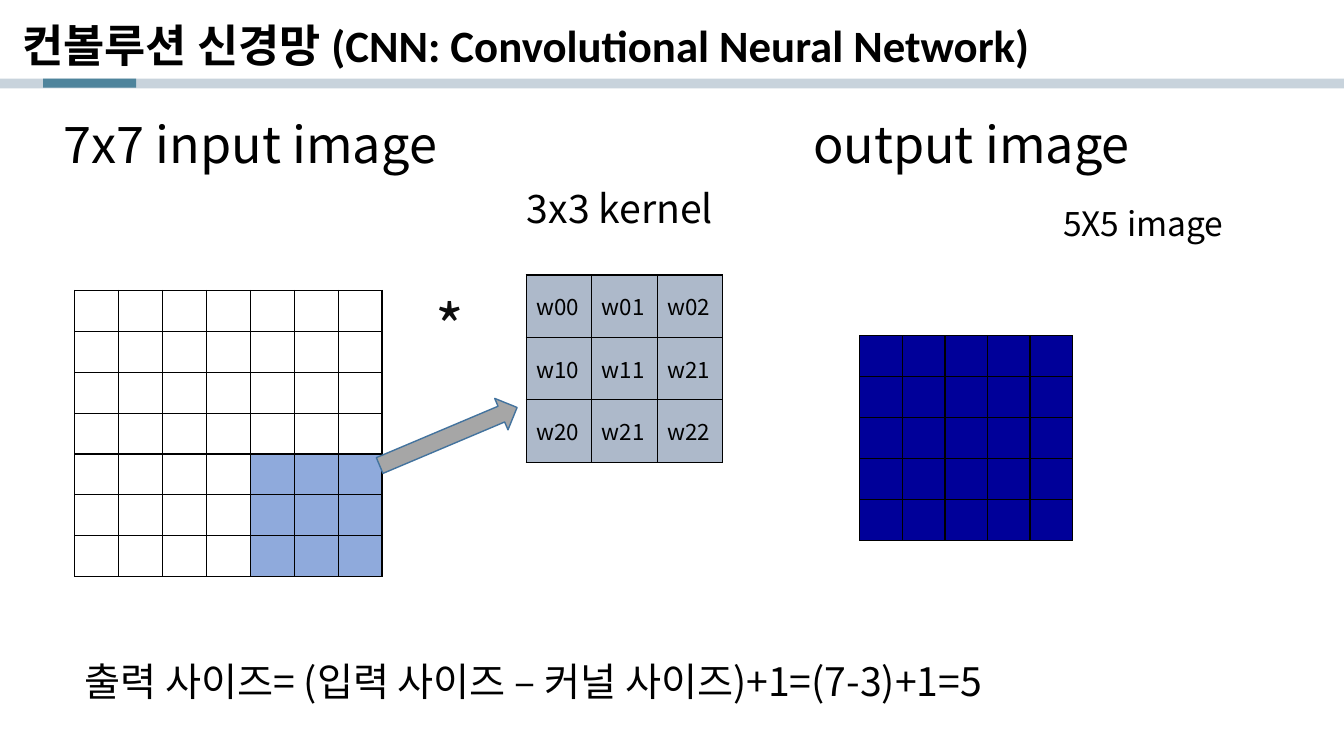
from lxml import etree
from pptx import Presentation
from pptx.dml.color import RGBColor
from pptx.enum.shapes import MSO_SHAPE
from pptx.enum.text import MSO_ANCHOR, MSO_AUTO_SIZE, PP_ALIGN
from pptx.oxml.ns import qn
from pptx.util import Cm, Pt

RECT, ARROW = MSO_SHAPE.RECTANGLE, MSO_SHAPE.RIGHT_ARROW
MIDDLE, LEFT = MSO_ANCHOR.MIDDLE, PP_ALIGN.LEFT
NO_FIT, GROW = MSO_AUTO_SIZE.NONE, MSO_AUTO_SIZE.SHAPE_TO_FIT_TEXT
BODY_FONT, TITLE_FONT = "Noto Sans CJK KR", "Calibri"
BLACK, WHITE = "000000", "FFFFFF"
WINDOW, KERNEL, OUTPUT = "8FAADC", "ADB9CA", "000099"


def rgb(color):
    return RGBColor.from_string(color)


def put_text(tf, text, size=28, font=BODY_FONT, color=BLACK, bold=False, spacing=None):
    p = tf.paragraphs[0]
    p.alignment = LEFT
    p.line_spacing = spacing
    r = p.add_run()
    r.text = text
    r.font.size = Pt(size)
    r.font.name = font
    r.font.bold = bold
    r.font.color.rgb = rgb(color)
    east_asian = etree.SubElement(r.font._element, qn("a:ea"))
    east_asian.set("typeface", BODY_FONT)


def add_borders(cell):
    tc_pr = cell._tc.get_or_add_tcPr()
    for side in ("lnL", "lnR", "lnT", "lnB"):
        line = etree.SubElement(tc_pr, qn(f"a:{side}"), w=str(Pt(1)))
        fill = etree.SubElement(line, qn("a:solidFill"))
        etree.SubElement(fill, qn("a:srgbClr"), val=BLACK)


class SlideBuilder:
    def __init__(self, prs):
        self.slide = prs.slides.add_slide(prs.slide_layouts[5])
        self.shapes = self.slide.shapes

    def title(self, text, x, y, w, h):
        sp = self.shapes.title
        sp.left, sp.top, sp.width, sp.height = Cm(x), Cm(y), Cm(w), Cm(h)
        tf = sp.text_frame
        tf.auto_size = NO_FIT
        tf.vertical_anchor = MIDDLE
        tf.margin_left = Cm(0.41)
        put_text(tf, text, size=32, font=TITLE_FONT, bold=True, spacing=0.9)

    def shape(self, kind, x, y, w, h, fill, line=None, alpha=None, rotation=0):
        sp = self.shapes.add_shape(kind, Cm(x), Cm(y), Cm(w), Cm(h))
        sp.shadow.inherit = False
        sp.rotation = rotation
        sp.fill.solid()
        sp.fill.fore_color.rgb = rgb(fill)
        if alpha:
            color = sp._element.spPr.find(qn("a:solidFill"))[0]
            etree.SubElement(color, qn("a:alpha"), val=str(alpha * 1000))
        if line:
            sp.line.color.rgb = rgb(line)
            sp.line.width = Pt(1)
        else:
            sp.line.fill.background()

    def label(self, text, x, y, w, h, wrap=True, **style):
        tf = self.shapes.add_textbox(Cm(x), Cm(y), Cm(w), Cm(h)).text_frame
        tf.word_wrap = wrap
        tf.auto_size = GROW
        put_text(tf, text, **style)

    def grid(self, rows, cols, x, y, w, h, fill_at, texts=None):
        """Draw a bordered table; fill_at(row, col) gives each cell's colour."""
        table = self.shapes.add_table(rows, cols, Cm(x), Cm(y), Cm(w), Cm(h)).table
        table.first_row = table.horz_banding = False
        for i in range(rows):
            for j in range(cols):
                cell = table.cell(i, j)
                add_borders(cell)
                cell.fill.solid()
                cell.fill.fore_color.rgb = rgb(fill_at(i, j))
                cell.vertical_anchor = MIDDLE
                if texts:
                    put_text(cell.text_frame, texts[i][j], size=16)


def main():
    prs = Presentation()
    prs.slide_width, prs.slide_height = Cm(33.87), Cm(19.05)
    s = SlideBuilder(prs)

    s.shape(RECT, 0, 1.98, 33.87, 0.25, "98ACBD", alpha=53)
    s.shape(RECT, 1.09, 1.98, 2.34, 0.23, "4E849C")
    s.title("컨볼루션 신경망 (CNN: Convolutional Neural Network)", 0.15, 0.23, 33.58, 1.96)

    s.grid(7, 7, 1.88, 7.32, 7.75, 7.21,
           lambda i, j: WINDOW if i >= 4 and j >= 4 else WHITE)
    s.grid(5, 5, 21.67, 8.46, 5.36, 5.16, lambda i, j: OUTPUT)
    weights = [["w00", "w01", "w02"], ["w10", "w11", "w21"], ["w20", "w21", "w22"]]
    s.grid(3, 3, 13.26, 6.93, 4.95, 4.72, lambda i, j: KERNEL, weights)

    s.label("7x7 input image", 1.35, 2.72, 11.38, 1.8, size=36)
    s.label("output image", 20.24, 2.72, 9.58, 1.8, size=36)
    s.label("3x3 kernel", 13.03, 4.52, 5.97, 1.45)
    s.shape(ARROW, 9.42, 10.57, 3.76, 0.86, "A6A6A6", line="43739E", rotation=337.1)
    s.label("*", 10.72, 7.16, 1.45, 2.13, size=44, color="0D0D0D")
    s.label("5X5 image", 26.54, 5, 4.65, 1.27, wrap=False, size=24)
    s.label("출력 사이즈= (입력 사이즈 – 커널 사이즈)+1=(7-3)+1=5", 1.88, 16.43, 28.68, 1.45)

    prs.save("out.pptx")


if __name__ == "__main__":
    main()
